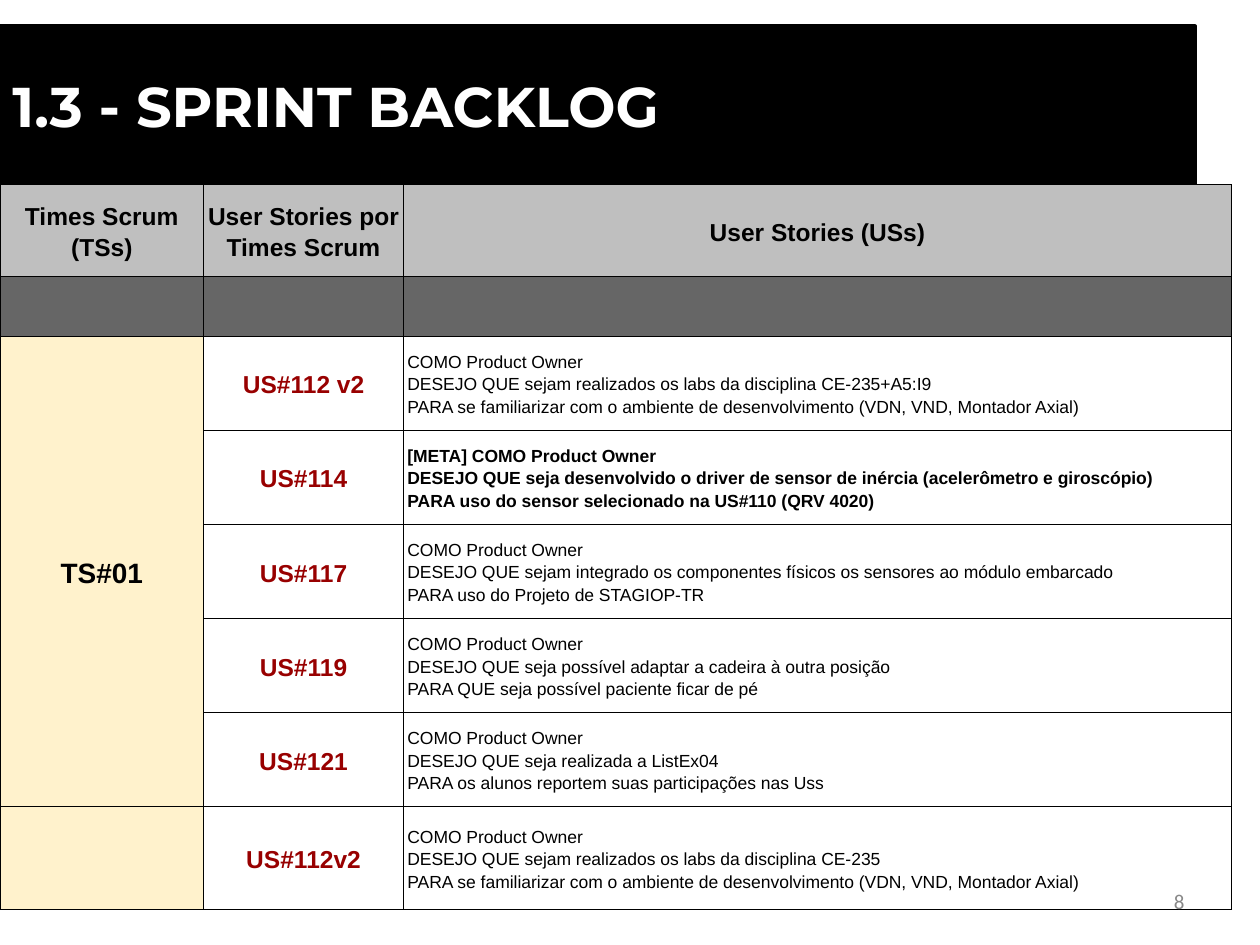
import lxml.etree
import pptx
import pptx.dml.color
import pptx.enum.shapes
import pptx.enum.text
import pptx.oxml.ns
import pptx.util

Pt = pptx.util.Pt
RGBColor = pptx.dml.color.RGBColor
ALIGN = pptx.enum.text.PP_ALIGN
MIDDLE = pptx.enum.text.MSO_ANCHOR.MIDDLE

BLACK = RGBColor(0x00, 0x00, 0x00)
WHITE = RGBColor(0xFF, 0xFF, 0xFF)
HEADER_GRAY = RGBColor(0xBF, 0xBF, 0xBF)
DIVIDER_GRAY = RGBColor(0x66, 0x66, 0x66)
TEAM_CREAM = RGBColor(0xFF, 0xF2, 0xCC)
STORY_RED = RGBColor(0x98, 0x00, 0x00)
NUMBER_GRAY = RGBColor(0x88, 0x88, 0x88)

HEADERS = ["Times Scrum (TSs)", "User Stories por Times Scrum", "User Stories (USs)"]
OWNER = "COMO Product Owner"
TOOLS = "PARA se familiarizar com o ambiente de desenvolvimento (VDN, VND, Montador Axial)"
# Story code, lines of the story, bold, alignment
STORIES = [
    ("US#112 v2",
     [OWNER, "DESEJO QUE sejam realizados os labs da disciplina CE-235+A5:I9", TOOLS],
     False, ALIGN.JUSTIFY),
    ("US#114",
     ["[META] " + OWNER,
      "DESEJO QUE seja desenvolvido o driver de sensor de inércia (acelerômetro e giroscópio)",
      "PARA uso do sensor selecionado na US#110 (QRV 4020)"],
     True, ALIGN.LEFT),
    ("US#117",
     [OWNER,
      "DESEJO QUE sejam integrado os componentes físicos os sensores ao módulo embarcado",
      "PARA uso do Projeto de STAGIOP-TR"],
     False, ALIGN.LEFT),
    ("US#119",
     [OWNER, "DESEJO QUE seja possível adaptar a cadeira à outra posição",
      "PARA QUE seja possível paciente ficar de pé"],
     False, ALIGN.LEFT),
    ("US#121",
     [OWNER, "DESEJO QUE seja realizada a ListEx04",
      "PARA os alunos reportem suas participações nas Uss"],
     False, ALIGN.LEFT),
    ("US#112v2",
     [OWNER, "DESEJO QUE sejam realizados os labs da disciplina CE-235", TOOLS],
     False, ALIGN.LEFT),
]
COLUMN_WIDTHS = [116.4, 114.2, 473.2]
ROW_HEIGHTS = [52.5, 34.2] + [53.75] * 5 + [59]
FIRST_STORY_ROW = 2
LAST_ROW = len(ROW_HEIGHTS) - 1


def write_text(text_frame, text, font_name, size, color, bold=False,
               align=ALIGN.LEFT, line_spacing=None):
    text_frame.text = text
    for paragraph in text_frame.paragraphs:
        paragraph.alignment = align
        if line_spacing:
            paragraph.line_spacing = line_spacing
        for run in paragraph.runs:
            run.font.name = font_name
            run.font.size = Pt(size)
            run.font.bold = bold
            run.font.color.rgb = color


def add_rectangle(slide, left, top, width, height, color):
    shape = slide.shapes.add_shape(
        pptx.enum.shapes.MSO_SHAPE.RECTANGLE, Pt(left), Pt(top), Pt(width), Pt(height))
    shape.shadow.inherit = False
    shape.fill.solid()
    shape.fill.fore_color.rgb = color
    shape.line.color.rgb = color
    shape.line.width = Pt(2)
    return shape


def add_title(slide, text):
    shape = add_rectangle(slide, 0, 15, 683, 90.5, BLACK)
    shape.text_frame.vertical_anchor = MIDDLE
    write_text(shape.text_frame, text, "Montserrat", 32, WHITE, bold=True)


def add_slide_number(slide, text):
    box = slide.shapes.add_textbox(Pt(516), Pt(500.5), Pt(168), Pt(28.75))
    box.text_frame.word_wrap = True
    box.text_frame.vertical_anchor = MIDDLE
    write_text(box.text_frame, text, "Calibri", 12, NUMBER_GRAY, align=ALIGN.RIGHT)


def add_borders(cell):
    """Draw a thin black line on each side; must run before the cell is filled."""
    properties = cell._tc.get_or_add_tcPr()
    qn = pptx.oxml.ns.qn
    for side in ("a:lnL", "a:lnR", "a:lnT", "a:lnB"):
        line = lxml.etree.SubElement(properties, qn(side), w=str(Pt(0.75)))
        fill = lxml.etree.SubElement(line, qn("a:solidFill"))
        lxml.etree.SubElement(fill, qn("a:srgbClr"), val=str(BLACK))


def fill_cell(cell, color):
    cell.fill.solid()
    cell.fill.fore_color.rgb = color


def write_cell(cell, text, size, color=BLACK, bold=True, align=ALIGN.CENTER):
    cell.vertical_anchor = MIDDLE
    cell.margin_left = cell.margin_right = Pt(2.25)
    cell.margin_top = cell.margin_bottom = Pt(7.2)
    write_text(cell.text_frame, text, "Arial", size, color, bold, align, 1.15)


def add_backlog_table(slide):
    table = slide.shapes.add_table(
        len(ROW_HEIGHTS), len(COLUMN_WIDTHS), Pt(0), Pt(105.5),
        Pt(sum(COLUMN_WIDTHS)), Pt(sum(ROW_HEIGHTS))).table
    for column, width in zip(table.columns, COLUMN_WIDTHS):
        column.width = Pt(width)
    for row, height in zip(table.rows, ROW_HEIGHTS):
        row.height = Pt(height)

    for row_index, row in enumerate(table.rows):
        for column_index, cell in enumerate(row.cells):
            add_borders(cell)
            if row_index < FIRST_STORY_ROW:
                fill_cell(cell, (HEADER_GRAY, DIVIDER_GRAY)[row_index])
            else:
                fill_cell(cell, WHITE if column_index else TEAM_CREAM)

    for column_index, header in enumerate(HEADERS):
        write_cell(table.cell(0, column_index), header, 14)
    for row_index, (code, lines, bold, align) in enumerate(STORIES, FIRST_STORY_ROW):
        write_cell(table.cell(row_index, 1), code, 14, STORY_RED)
        write_cell(table.cell(row_index, 2), "\n".join(lines), 10, BLACK, bold, align)

    team = table.cell(FIRST_STORY_ROW, 0)
    team.merge(table.cell(LAST_ROW - 1, 0))
    write_cell(team, "TS#01", 16)


def main():
    presentation = pptx.Presentation()
    presentation.slide_width = Pt(720)
    presentation.slide_height = Pt(540)
    slide = presentation.slides.add_slide(presentation.slide_layouts[6])
    add_title(slide, "1.3 - SPRINT BACKLOG")
    add_rectangle(slide, 672, 479.5, 42.5, 39.5, WHITE)
    add_backlog_table(slide)
    add_slide_number(slide, "8")
    presentation.save("out.pptx")


if __name__ == "__main__":
    main()
